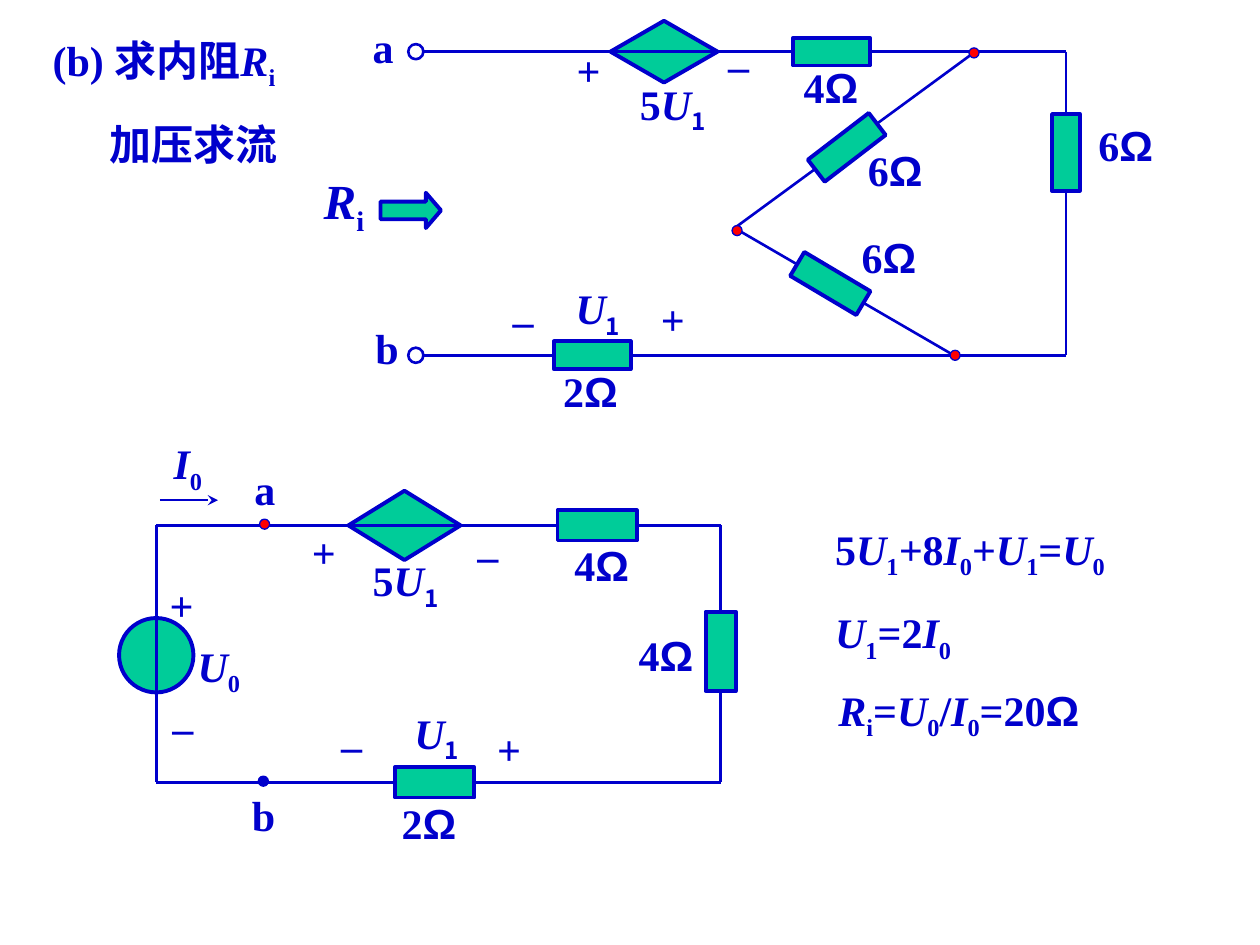
"""Build a slide that finds the internal resistance of a circuit with a controlled source."""
from lxml.etree import SubElement
from pptx import Presentation
from pptx.dml.color import RGBColor
from pptx.enum.shapes import MSO_CONNECTOR, MSO_SHAPE
from pptx.enum.text import MSO_ANCHOR, PP_ALIGN
from pptx.oxml.ns import qn
from pptx.util import Inches, Pt

COLORS = {"ink": "0000CC", "part": "00CC99", "node": "FF0000"}
SERIF, SANS, CJK = "Times New Roman", "Arial", "Noto Sans CJK SC"
COLUMNS, ROWS, CELL = 100, 75, 0.1
TOP, LEFT, BOTTOM, RIGHT = range(4)

PLAIN, ITALIC, SUB, CJK_SUB, SYMBOL = "plain", "italic", "sub", "cjk_sub", "symbol"
STYLES = {
    PLAIN: (SERIF, False, False),
    ITALIC: (SERIF, True, False),
    SUB: (SERIF, False, True),
    CJK_SUB: (CJK, False, True),
    SYMBOL: (SANS, False, False),
}


def variable(letter, index, style=SUB):
    return [(letter, ITALIC), (index, style)]


def ohms(value):
    return [(value, PLAIN), ("Ω", SYMBOL)]


R_I, I_0, U_0, U_1 = (variable(*pair) for pair in ("Ri", "I0", "U0", "U1"))
U_1_LABEL = variable("U", "1", CJK_SUB)
SOURCE_LABEL = [("5", PLAIN)] + U_1_LABEL

TITLE = [[("(b) 求内阻", PLAIN)] + R_I, [("加压求流", PLAIN)]]
EQUATIONS = [
    [("5", PLAIN)] + U_1 + [("+", ITALIC), ("8", PLAIN)] + I_0
    + [("+", PLAIN)] + U_1 + [("=", PLAIN)] + U_0,
    U_1 + [("=2", PLAIN)] + I_0,
]
RESULT = R_I + [("=", PLAIN)] + U_0 + [("/", PLAIN)] + I_0 + [("=20", PLAIN), ("Ω", SYMBOL)]

MARK_WIDTHS = {"a": 3.6, "b": 3.8, "+": 3.9, "–": 3.6}

BRIDGE = {
    "back_wires": [((77.4, 4.1), (58.3, 18.1)), ((58.3, 18.1), (75.7, 28.2))],
    "parts": {
        "source": (MSO_SHAPE.DIAMOND, 52.7, 4.1, 8.5, 4.9, 0),
        "series": (MSO_SHAPE.RECTANGLE, 66, 4.1, 6.1, 2.2, 0),
        "sense": (MSO_SHAPE.RECTANGLE, 47, 28.2, 6.1, 2.2, 0),
        "right": (MSO_SHAPE.RECTANGLE, 84.6, 12.1, 2.2, 6.1, 0),
        "lower diagonal": (MSO_SHAPE.RECTANGLE, 65.9, 22.5, 2.2, 6.1, 300.7),
        "upper diagonal": (MSO_SHAPE.RECTANGLE, 67.2, 11.7, 2.2, 6.1, 52.5),
    },
    "wires": [
        ((33.6, 4.1), ("source", LEFT)), (("source", LEFT), ("source", RIGHT)),
        (("source", RIGHT), ("series", LEFT)), (("series", RIGHT), (84.6, 4.1)),
        ((84.6, 4.1), ("right", TOP)), (("right", BOTTOM), (84.6, 28.2)),
        ((33.6, 28.2), ("sense", LEFT)), (("sense", RIGHT), (84.6, 28.2)),
    ],
    "dots": [(75.8, 28.2, 0.8, "node"), (77.3, 4.2, 0.8, "node"), (58.5, 18.3, 0.8, "node"),
             (33, 28.2, 1.2, None), (33, 4.1, 1.2, None)],
    "marks": [("a", 30.4, 3.7), ("b", 30.7, 27.6), ("+", 46.7, 5.5), ("–", 58.6, 5.1),
              ("+", 53.4, 25.3), ("–", 41.5, 25.4)],
    "labels": [
        (ohms("2"), 43.7, 28.5, 7.2), (ohms("4"), 62.8, 4.4, 7.7),
        (ohms("6"), 67.9, 11, 7.3), (ohms("6"), 67.4, 17.9, 7.8),
        (ohms("6"), 86.2, 9, 8.3), (SOURCE_LABEL, 49.8, 5.7, 7.8),
        (U_1_LABEL, 44.7, 21.9, 6),
    ],
}
LOOP = {
    "back_wires": [],
    "parts": {
        "source": (MSO_SHAPE.DIAMOND, 32.1, 41.7, 8.9, 5.5, 0),
        "series": (MSO_SHAPE.RECTANGLE, 47.4, 41.7, 6.3, 2.4, 0),
        "right": (MSO_SHAPE.RECTANGLE, 57.2, 51.7, 2.4, 6.3, 0),
        "sense": (MSO_SHAPE.RECTANGLE, 34.5, 62.1, 6.3, 2.4, 0),
        "supply": (MSO_SHAPE.OVAL, 12.4, 52, 5.9, 5.9, 0),
    },
    "wires": [
        ((12.4, 41.7), ("source", LEFT)), (("source", LEFT), ("source", RIGHT)),
        (("source", RIGHT), ("series", LEFT)), (("series", RIGHT), (57.2, 41.7)),
        ((57.2, 41.7), ("right", TOP)), (("right", BOTTOM), (57.2, 62.1)),
        ((12.4, 62.1), ("sense", LEFT)), (("sense", RIGHT), (57.2, 62.1)),
        ((12.4, 41.7), (12.4, 62.1)), ((12.7, 39.7), (17.3, 39.7), "stealth"),
    ],
    "dots": [(21, 41.6, 0.8, "node"), (20.9, 62, 0.8, "ink")],
    "marks": [("a", 21, 38.8), ("b", 20.9, 64.7), ("+", 25.7, 43.8), ("–", 38.7, 44),
              ("+", 40.4, 59.4), ("–", 27.9, 59.1), ("+", 14.4, 48), ("–", 14.5, 57.7)],
    "labels": [
        (ohms("2"), 30.9, 62.8, 7.3), (ohms("4"), 44.6, 42.3, 7.8),
        (ohms("4"), 49.7, 49.5, 7.6), (SOURCE_LABEL, 28.6, 43.5, 10.9),
        (U_1_LABEL, 31.9, 55.6, 6.1), (U_0, 14.7, 50.3, 5.8), (I_0, 12.8, 34.2, 5),
    ],
}


def cells(*counts):
    return [Inches(count * CELL) for count in counts]


def rgb(name):
    return RGBColor.from_string(COLORS[name])


def add_text(shapes, box, paragraphs, size=24, align=PP_ALIGN.LEFT, wrap=False, indents=()):
    frame = shapes.add_textbox(*cells(*box)).text_frame
    frame.word_wrap = wrap
    frame.vertical_anchor = MSO_ANCHOR.MIDDLE
    for index, runs in enumerate(paragraphs):
        paragraph = frame.add_paragraph() if index else frame.paragraphs[0]
        paragraph.alignment = align
        if index:
            paragraph.space_before = Pt(15)
        if index < len(indents):
            paragraph._p.get_or_add_pPr().set("marL", str(Inches(indents[index] * CELL)))
        for text, style in runs:
            family, italic, lowered = STYLES[style]
            run = paragraph.add_run()
            run.text = text
            run.font.name, run.font.size = family, Pt(size)
            run.font.bold, run.font.italic = True, italic
            run.font.color.rgb = rgb("ink")
            SubElement(run.font._element, qn("a:ea"), typeface=CJK)
            if lowered:
                run.font._element.set("baseline", "-25000")


def add_part(shapes, kind, box, fill="part", weight=2.25, rotation=0):
    shape = shapes.add_shape(kind, *cells(*box))
    shape.shadow.inherit = False
    shape.rotation = rotation
    if fill:
        shape.fill.solid()
        shape.fill.fore_color.rgb = rgb(fill)
    else:
        shape.fill.background()
    shape.line.color.rgb, shape.line.width = rgb("ink"), Pt(weight)
    return shape


def add_wire(shapes, parts, start, end, head=None):
    points = [(0, 0) if point[0] in parts else point for point in (start, end)]
    wire = shapes.add_connector(MSO_CONNECTOR.STRAIGHT, *cells(*points[0], *points[1]))
    for point, connect in ((start, wire.begin_connect), (end, wire.end_connect)):
        if point[0] in parts:
            connect(parts[point[0]], point[1])
    wire.line.color.rgb, wire.line.width = rgb("ink"), Pt(1.5)
    if head:
        SubElement(wire.line._get_or_add_ln(), qn("a:tailEnd"), type=head)
    SubElement(wire._element.spPr, qn("a:effectLst"))


def centered(x, y, width, height):
    return x - width / 2, y - height / 2, width, height


def add_circuit(slide, circuit):
    shapes = slide.shapes.add_group_shape().shapes
    for wire in circuit["back_wires"]:
        add_wire(shapes, {}, *wire)
    parts = {name: add_part(shapes, kind, centered(*box), rotation=rotation)
             for name, (kind, *box, rotation) in circuit["parts"].items()}
    for wire in circuit["wires"]:
        add_wire(shapes, parts, *wire)
    for x, y, size, fill in circuit["dots"]:
        add_part(shapes, MSO_SHAPE.OVAL, centered(x, y, size, size), fill, 0.75 if fill else 1.5)
    for mark, x, y in circuit["marks"]:
        add_text(shapes, centered(x, y, MARK_WIDTHS[mark], 5), [[(mark, PLAIN)]],
                 align=PP_ALIGN.CENTER)
    for runs, x, y, width in circuit["labels"]:
        height = 5 if runs[-1][1] == SYMBOL else 5.6
        add_text(shapes, (x, y, width, height), [runs], wrap=True)


def main():
    presentation = Presentation()
    presentation.slide_width, presentation.slide_height = cells(COLUMNS, ROWS)
    slide = presentation.slides.add_slide(presentation.slide_layouts[6])
    add_text(slide.shapes, (24.7, 13, 8.1, 6.3), [R_I], size=28, wrap=True)
    arrow = add_part(slide.shapes, MSO_SHAPE.RIGHT_ARROW, (30.2, 15.3, 4.8, 2.8))
    arrow.adjustments[1] = 0.43
    add_text(slide.shapes, (3.2, 2.2, 24, 11.7), TITLE, wrap=True, indents=(0, 4.5))
    add_text(slide.shapes, (65.3, 41, 23.4, 12.2), EQUATIONS)
    add_text(slide.shapes, (65.4, 53.8, 21.4, 5.6), [RESULT], align=PP_ALIGN.CENTER, wrap=True)
    for circuit in (BRIDGE, LOOP):
        add_circuit(slide, circuit)
    presentation.save("out.pptx")


if __name__ == "__main__":
    main()
